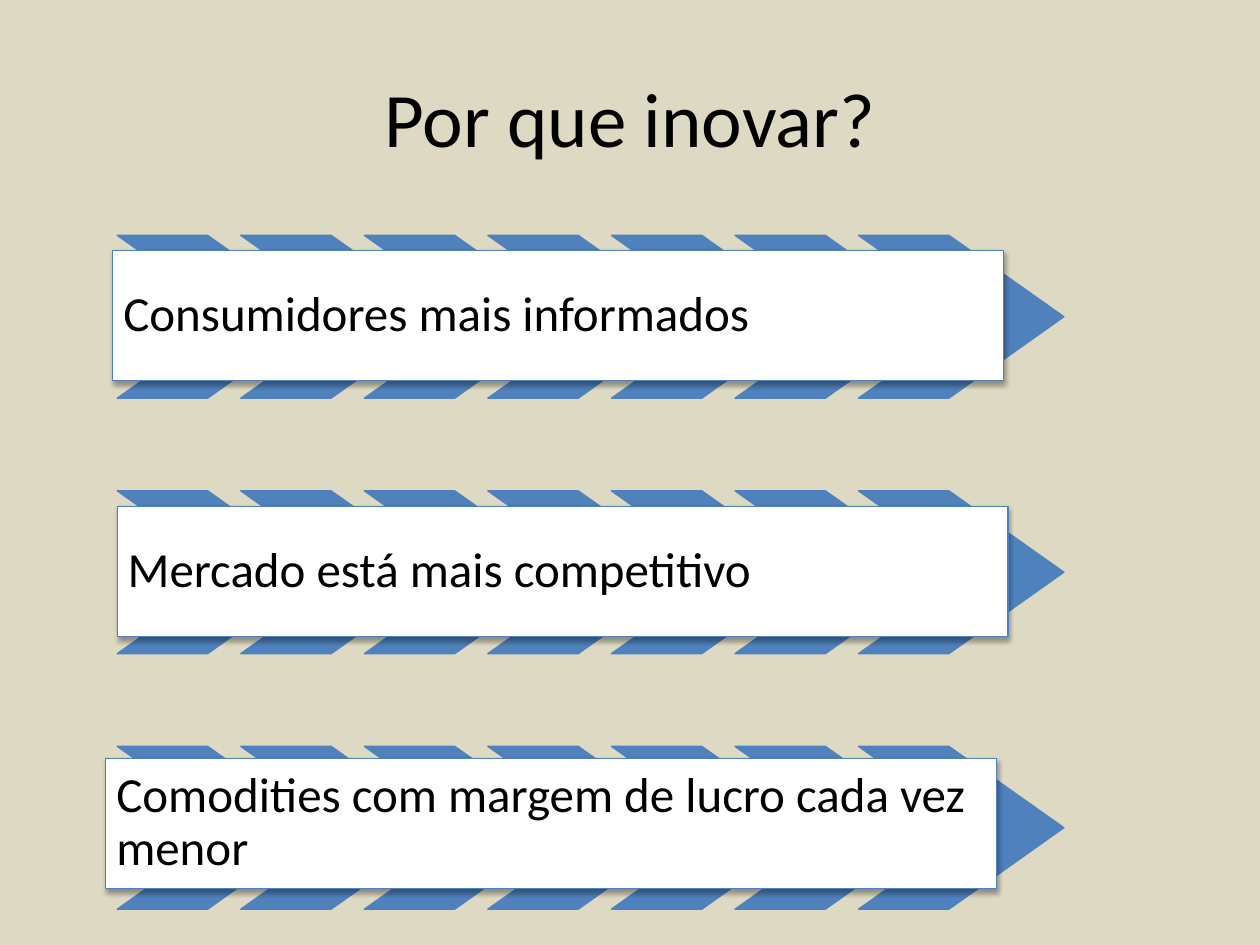
from lxml import etree
from pptx import Presentation
from pptx.dml.color import RGBColor
from pptx.enum.shapes import MSO_SHAPE
from pptx.enum.text import MSO_ANCHOR, PP_ALIGN
from pptx.oxml.ns import qn
from pptx.util import Pt

CHEVRON, RECT = MSO_SHAPE.CHEVRON, MSO_SHAPE.RECTANGLE
MIDDLE = MSO_ANCHOR.MIDDLE
LEFT, CENTER = PP_ALIGN.LEFT, PP_ALIGN.CENTER

# Content: text, card left, card top
TITLE = "Por que inovar?"
CARDS = [
    ("Consumidores mais informados", 64.5, 143.3),
    ("Mercado está mais competitivo", 67, 289.4),
    ("Comodities com margem de lucro cada vez menor", 60.5, 433.4),
]

THEME = {
    "font": "Calibri",
    "back": RGBColor(0xDD, 0xD9, 0xC3),
    "blue": RGBColor(0x4F, 0x81, 0xBD),
    "white": RGBColor(0xFF, 0xFF, 0xFF),
    "ink": RGBColor(0, 0, 0),
    "title": 44,
    "card": 28,
    "line": 0.75,
}

# Layout in points
COUNT, STEP, NOTCH = 7, 70.6, 0.706
ROW_X, ROW_Y, ROW_GAP = 67, 134.5, 146
CHEV_W, CHEV_H = 117.4, 93
CARD_W, CARD_H, INSET = 509, 74.2, 6


def add_box(slide, kind, x, y, w, h, fill):
    box = slide.shapes.add_shape(kind, Pt(x), Pt(y), Pt(w), Pt(h))
    box.fill.solid()
    box.fill.fore_color.rgb = fill
    box.line.color.rgb = THEME["blue"]
    box.line.width = Pt(THEME["line"])
    box.shadow.inherit = False
    return box


def add_shadow(box):
    effects = box.element.spPr.find(qn("a:effectLst"))
    shade = etree.SubElement(effects, qn("a:outerShdw"), blurRad=str(Pt(3.1)),
                             dist=str(Pt(1.8)), dir="5400000", rotWithShape="0")
    color = etree.SubElement(shade, qn("a:srgbClr"), val=str(THEME["ink"]))
    etree.SubElement(color, qn("a:alpha"), val="35000")


def write(frame, text, size, align):
    frame.word_wrap = True
    frame.vertical_anchor = MIDDLE
    para = frame.paragraphs[0]
    para.alignment = align
    run = para.add_run()
    run.text = text
    run.font.name = THEME["font"]
    run.font.size = Pt(size)
    run.font.color.rgb = THEME["ink"]
    return para


def add_row(slide, y):
    for i in range(COUNT):
        chev = add_box(slide, CHEVRON, ROW_X + i * STEP, y, CHEV_W, CHEV_H, THEME["blue"])
        chev.adjustments[0] = NOTCH


def add_card(slide, text, x, y):
    card = add_box(slide, RECT, x, y, CARD_W, CARD_H, THEME["white"])
    add_shadow(card)
    frame = card.text_frame
    frame.margin_left = frame.margin_right = Pt(INSET)
    frame.margin_top = frame.margin_bottom = Pt(INSET)
    write(frame, text, THEME["card"], LEFT).line_spacing = 0.9


def main():
    deck = Presentation()
    deck.slide_width, deck.slide_height = Pt(720), Pt(540)
    slide = deck.slides.add_slide(deck.slide_layouts[5])
    slide.background.fill.solid()
    slide.background.fill.fore_color.rgb = THEME["back"]

    # Title
    title = slide.shapes.title
    title.left, title.top, title.width, title.height = Pt(36), Pt(21.6), Pt(648), Pt(90)
    write(title.text_frame, TITLE, THEME["title"], CENTER)

    # Chevron rows, each under its card
    for i, (text, x, y) in enumerate(CARDS):
        add_row(slide, ROW_Y + i * ROW_GAP)
        add_card(slide, text, x, y)

    deck.save("out.pptx")


if __name__ == "__main__":
    main()
